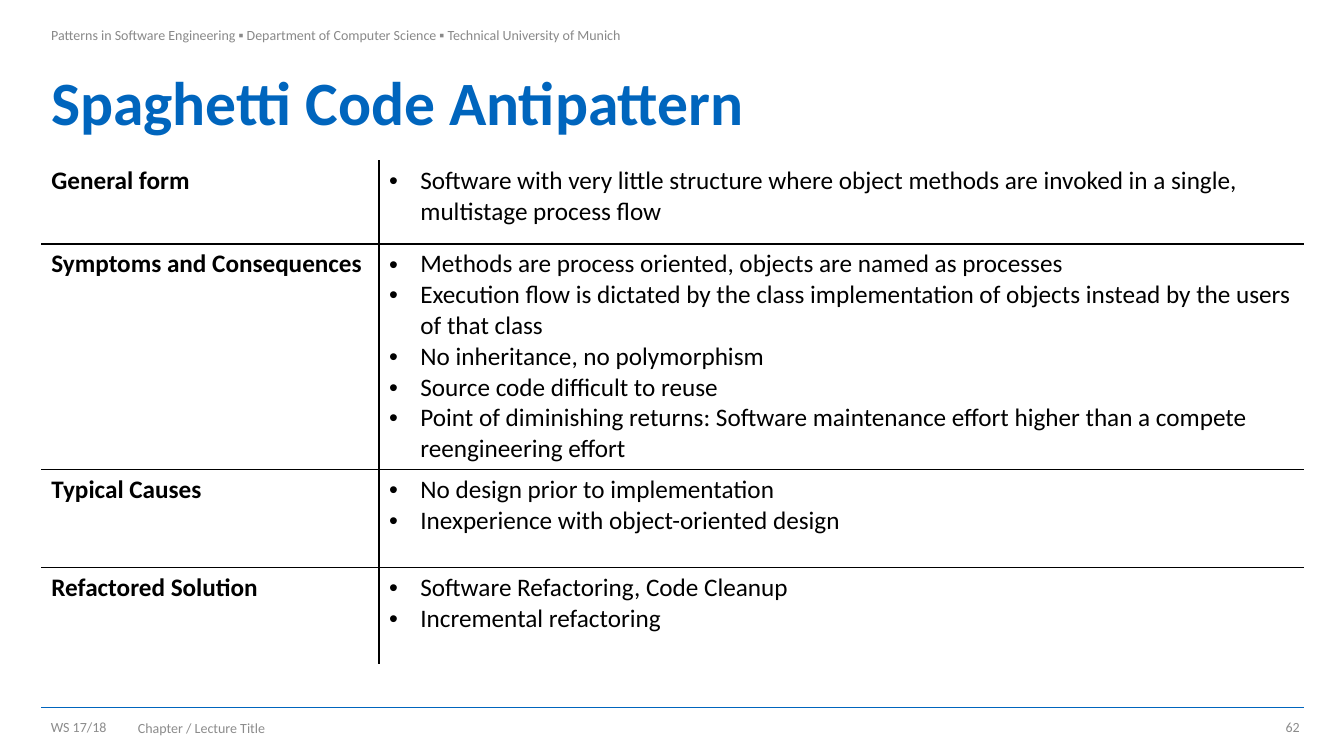
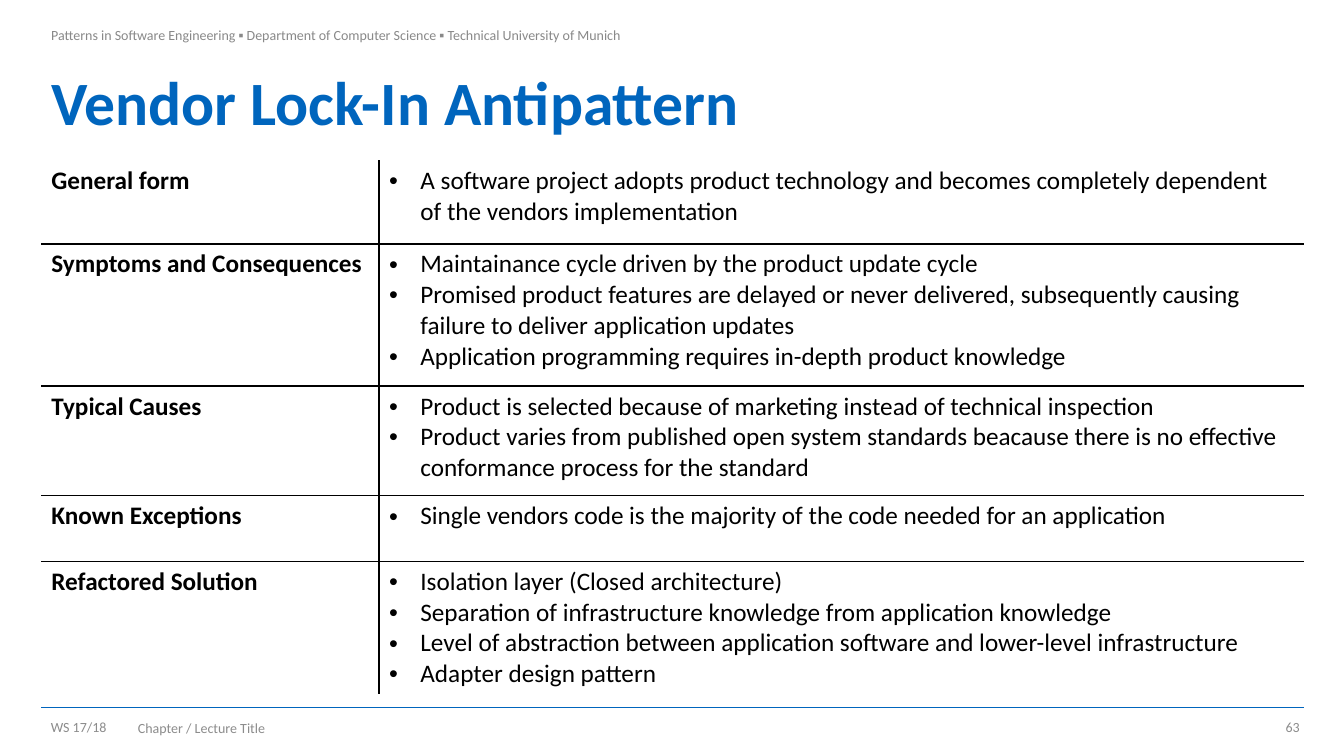
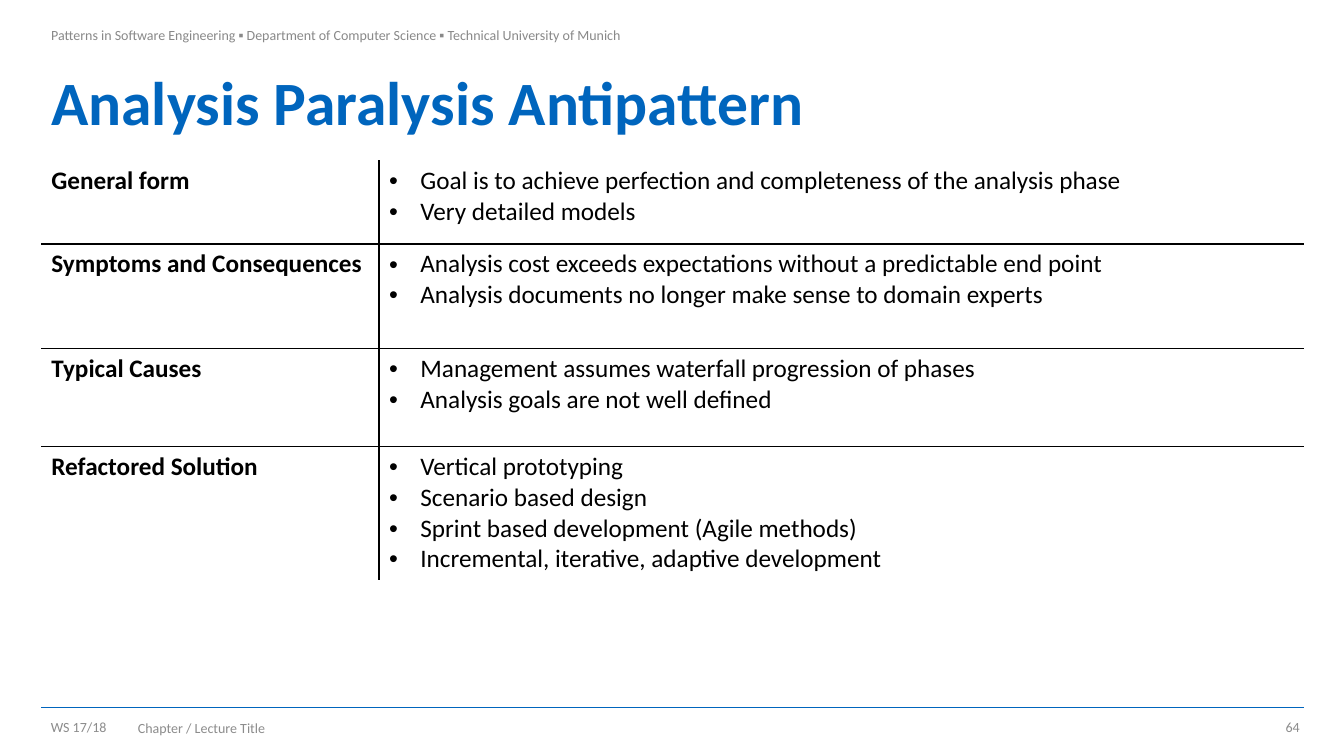
from dataclasses import dataclass

from lxml.etree import SubElement
from pptx import Presentation
from pptx.dml.color import RGBColor
from pptx.enum.shapes import MSO_CONNECTOR
from pptx.enum.text import MSO_ANCHOR, PP_ALIGN
from pptx.oxml.ns import qn
from pptx.slide import Slide
from pptx.table import _Cell
from pptx.text.text import TextFrame
from pptx.util import Inches, Pt

# Shared look
BLUE = RGBColor(0x00, 0x65, 0xBD)
BLACK = RGBColor(0x00, 0x00, 0x00)
GREY = RGBColor(0x89, 0x89, 0x89)
FOOT = RGBColor(0x8C, 0x8C, 0x8C)
FONT = "Calibri"
PLAIN = "{2D5ABB26-0587-4C30-8999-92F81FD0307C}"  # table style without grid

# Shared grid, in inches
WIDE, HIGH = 13.33, 7.5
LEFT, SPAN = 0.41, 12.52
COLS = (3.35, SPAN - 3.35)
TOP = 1.59
RULE = 7.02
BASE = 7.1
HANG = 0.31


@dataclass(frozen=True)
class Row:
    head: str
    high: float
    items: tuple[str, ...]


@dataclass(frozen=True)
class Page:
    title: str
    rows: tuple[Row, ...]


@dataclass(frozen=True)
class Box:
    left: float
    top: float
    width: float
    height: float
    side: float = 0.1
    head: float = 0.05


HEADER = Box(LEFT, 0, 6.27, 0.68, head=0.26)
TITLE = Box(LEFT, 0.68, SPAN, 0.74)
TERM = Box(LEFT, BASE, 0.74, 0.23, side=0.04)
NUMBER = Box(LEFT + SPAN - 0.59, BASE, 0.59, 0.23, side=0.04)
TOPIC = Box(1.27, BASE, 8.61, 0.24)

FIRST = 62
PAGES = (
    Page("Spaghetti Code Antipattern", (
        Row("General form", 0.83, (
            "Software with very little structure where object methods are "
            "invoked in a single, multistage process flow",)),
        Row("Symptoms and Consequences", 2.24, (
            "Methods are process oriented, objects are named as processes",
            "Execution flow is dictated by the class implementation of "
            "objects instead by the users of that class",
            "No inheritance, no polymorphism",
            "Source code difficult to reuse",
            "Point of diminishing returns: Software maintenance effort "
            "higher than a compete reengineering effort")),
        Row("Typical Causes", 0.97, (
            "No design prior to implementation",
            "Inexperience with object-oriented design")),
        Row("Refactored Solution", 0.96, (
            "Software Refactoring, Code Cleanup",
            "Incremental refactoring")),
    )),
    Page("Vendor Lock-In Antipattern", (
        Row("General form", 0.83, (
            "A software project adopts product technology and becomes "
            "completely dependent of the vendors implementation",)),
        Row("Symptoms and Consequences", 1.41, (
            "Maintainance cycle driven by the product update cycle",
            "Promised product features are delayed or never delivered, "
            "subsequently causing failure to deliver application updates",
            "Application programming requires in-depth product knowledge")),
        Row("Typical Causes", 1.09, (
            "Product is selected because of marketing instead of technical "
            "inspection",
            "Product varies from published open system standards beacause "
            "there is no effective conformance process for the standard")),
        Row("Known Exceptions", 0.65, (
            "Single vendors code is the majority of the code needed for an "
            "application",)),
        Row("Refactored Solution", 1.32, (
            "Isolation layer (Closed architecture)",
            "Separation of infrastructure knowledge from application "
            "knowledge",
            "Level of abstraction between application software and "
            "lower-level infrastructure",
            "Adapter design pattern")),
    )),
    Page("Analysis Paralysis Antipattern", (
        Row("General form", 0.83, (
            "Goal is to achieve perfection and completeness of the analysis "
            "phase",
            "Very detailed models")),
        Row("Symptoms and Consequences", 1.04, (
            "Analysis cost exceeds expectations without a predictable end "
            "point",
            "Analysis documents no longer make sense to domain experts")),
        Row("Typical Causes", 0.97, (
            "Management assumes waterfall progression of phases",
            "Analysis goals are not well defined")),
        Row("Refactored Solution", 1.32, (
            "Vertical prototyping",
            "Scenario based design",
            "Sprint based development (Agile methods)",
            "Incremental, iterative, adaptive development")),
    )),
)


def write(frame: TextFrame, *lines: str, size: float = 18,
          color: RGBColor = BLACK, bold: bool = False,
          align: PP_ALIGN = PP_ALIGN.LEFT, space: float = 1.0,
          bullet: bool = False) -> None:
    """Fill a text frame, one paragraph for each line."""
    for pos, line in enumerate(lines):
        para = frame.add_paragraph() if pos else frame.paragraphs[0]
        para.alignment = align
        para.line_spacing = space
        run = para.add_run()
        run.text = line
        run.font.name = FONT
        run.font.size = Pt(size)
        run.font.bold = bold
        run.font.color.rgb = color
        if bullet:
            props = para._p.get_or_add_pPr()
            props.set("marL", str(Inches(HANG)))
            props.set("indent", str(-Inches(HANG)))
            SubElement(props, qn("a:buFont"), typeface="Arial")
            SubElement(props, qn("a:buChar"), char="•")


def place(slide: Slide, box: Box,
          anchor: MSO_ANCHOR = MSO_ANCHOR.MIDDLE) -> TextFrame:
    """Add an empty text box and return its frame."""
    shape = slide.shapes.add_textbox(
        Inches(box.left), Inches(box.top),
        Inches(box.width), Inches(box.height))
    frame = shape.text_frame
    frame.word_wrap = True
    frame.vertical_anchor = anchor
    frame.margin_left = frame.margin_right = Inches(box.side)
    frame.margin_top = Inches(box.head)
    frame.margin_bottom = Inches(0.05)
    return frame


def edge(cell: _Cell, sides: str) -> None:
    """Draw the named sides (of L, R, T, B, in that order) of a cell."""
    props = cell._tc.get_or_add_tcPr()
    for side in sides:
        line = SubElement(props, qn(f"a:ln{side}"), w=str(Pt(1)))
        fill = SubElement(line, qn("a:solidFill"))
        SubElement(fill, qn("a:srgbClr"), val=str(BLACK))


def frame_page(slide: Slide, title: str, number: int) -> None:
    """Draw header, title, rule and footer."""
    rule = slide.shapes.add_connector(
        MSO_CONNECTOR.STRAIGHT, Inches(LEFT), Inches(RULE),
        Inches(LEFT + SPAN), Inches(RULE))
    rule.line.color.rgb = BLUE
    rule.line.width = Pt(0.5)
    SubElement(rule._element.spPr, qn("a:effectLst"))

    write(place(slide, HEADER, MSO_ANCHOR.TOP),
          "Patterns in Software Engineering ▪ Department of Computer Science "
          "▪ Technical University of Munich", size=10, color=GREY)
    write(place(slide, TITLE), title,
          size=44, color=BLUE, bold=True, space=0.9)
    for box, text, align in (
            (TERM, "WS 17/18", PP_ALIGN.CENTER),
            (NUMBER, str(number), PP_ALIGN.RIGHT),
            (TOPIC, "Chapter / Lecture Title", PP_ALIGN.LEFT)):
        write(place(slide, box), text, size=10, color=FOOT, align=align)


def grid(slide: Slide, rows: tuple[Row, ...]) -> None:
    """Draw the table with inner lines only."""
    table = slide.shapes.add_table(
        len(rows), len(COLS), Inches(LEFT), Inches(TOP), Inches(SPAN),
        Inches(sum(row.high for row in rows))).table
    table.first_row = table.horz_banding = False
    table._tbl.tblPr.find(qn("a:tableStyleId")).text = PLAIN
    for col, width in zip(table.columns, COLS):
        col.width = Inches(width)

    last = len(rows) - 1
    for pos, row in enumerate(rows):
        table.rows[pos].height = Inches(row.high)
        label, body = table.cell(pos, 0), table.cell(pos, 1)
        level = ("T" if pos else "") + ("B" if pos < last else "")
        for cell, side in ((label, "R"), (body, "L")):
            edge(cell, side + level)
            cell.fill.background()
        write(label.text_frame, row.head, bold=True)
        write(body.text_frame, *row.items, bullet=True)


def main() -> None:
    deck = Presentation()
    deck.slide_width, deck.slide_height = Inches(WIDE), Inches(HIGH)
    blank = deck.slide_layouts[6]
    for number, page in enumerate(PAGES, FIRST):
        slide = deck.slides.add_slide(blank)
        frame_page(slide, page.title, number)
        grid(slide, page.rows)
    deck.save("out.pptx")


if __name__ == "__main__":
    main()
